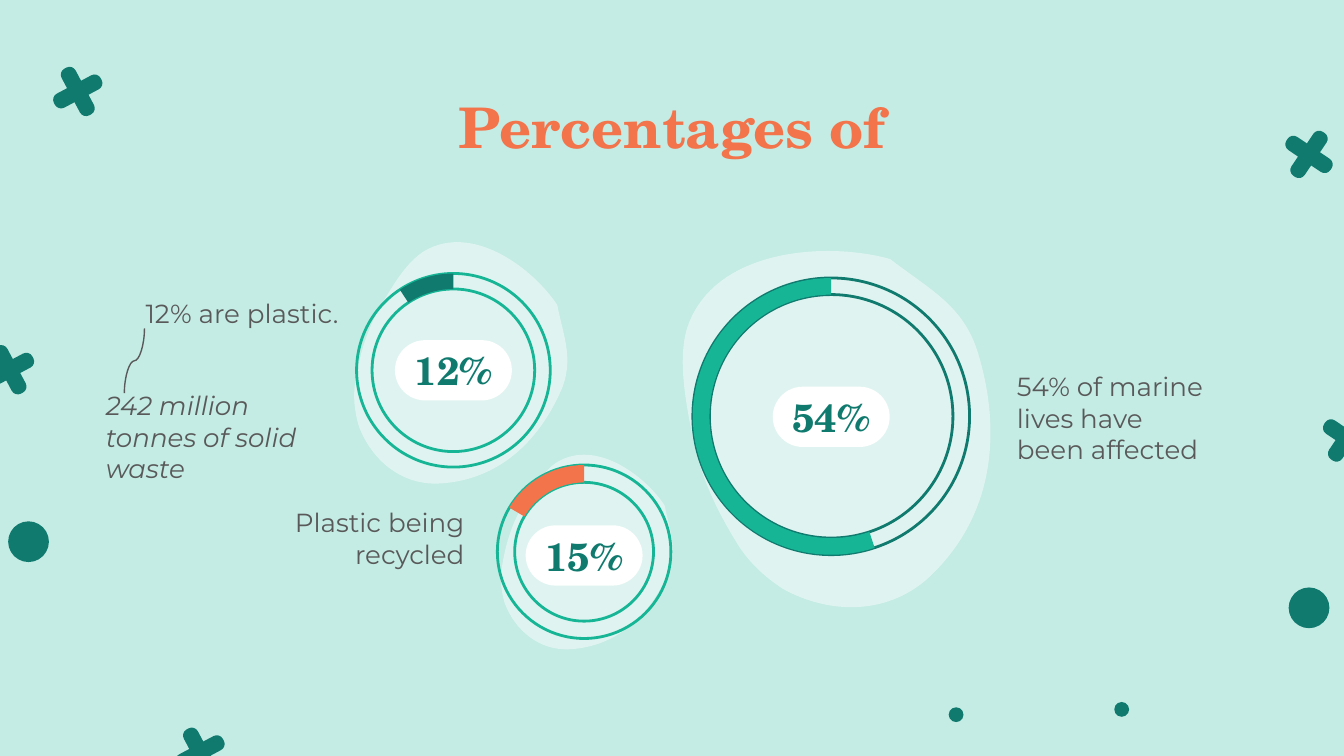
import pptx
from lxml import etree
from pptx.dml.color import RGBColor
from pptx.enum.shapes import MSO_CONNECTOR, MSO_SHAPE
from pptx.enum.text import MSO_ANCHOR, PP_ALIGN
from pptx.oxml.ns import qn
from pptx.util import Cm, Pt

COLORS = {"mint": "C4ECE4", "teal": "107A6F", "green": "16B596",
          "orange": "F3734A", "white": "FFFFFF", "gray": "595959"}
RGB = {name: RGBColor.from_string(value) for name, value in COLORS.items()}
SERIF, SANS = "TeX Gyre Schola", "Montserrat"


def put_text(tf, text, size=14, color="gray", font=SANS, bold=False,
             italic=False, align=PP_ALIGN.LEFT, before=0, anchor=MSO_ANCHOR.TOP):
    """Fill the empty first paragraph of a frame, or append one."""
    tf.word_wrap = True
    tf.vertical_anchor = anchor
    tf.margin_left = tf.margin_right = tf.margin_top = tf.margin_bottom = Cm(0.25)
    p = tf.add_paragraph() if tf.text else tf.paragraphs[0]
    p.alignment = align
    p.space_before = Pt(before)
    r = p.add_run()
    r.text = text
    r.font.name, r.font.size = font, Pt(size)
    r.font.bold, r.font.italic = bold, italic
    r.font.color.rgb = RGB[color]


def add_centered(kind, cx, cy, w, h, fill=None, line=None):
    """Add a preset shape around a centre given in cm."""
    sp = s.shapes.add_shape(kind, Cm(cx - w / 2), Cm(cy - h / 2), Cm(w), Cm(h))
    sp.shadow.inherit = False
    if fill:
        sp.fill.solid()
        sp.fill.fore_color.rgb = RGB[fill]
    else:
        sp.fill.background()
    if line:
        sp.line.color.rgb = RGB[line]
        sp.line.width = Pt(1.5)
    else:
        sp.line.fill.background()
    return sp


prs = pptx.Presentation()
prs.slide_width, prs.slide_height = Cm(25.4), Cm(14.29)
layout = prs.slide_layouts[5]
s = prs.slides.add_slide(layout)
s.background.fill.solid()
s.background.fill.fore_color.rgb = RGB["mint"]

title = s.shapes.title
title.left, title.top, title.width, title.height = Cm(1.98), Cm(1.5), Cm(21.44), Cm(1.32)
put_text(title.text_frame, "Percentages of", size=30, color="orange", font=SERIF,
         bold=True, align=PP_ALIGN.CENTER)

# Outlines around (0, 0) in cm: one point is a line, three points a Bezier curve
reach, half, radius = 0.5, 0.15, 0.13
near = radius * 0.45  # distance of a control point from its corner
arm = [[(-half, -half)], [(-half, radius - reach)],
       [(-half, near - reach), (near - half, -reach), (radius - half, -reach)],
       [(half - radius, -reach)],
       [(half - near, -reach), (half, near - reach), (half, radius - reach)]]
cross = []
for turn in range(4):
    cross += arm
    arm = [[(-y, x) for x, y in piece] for piece in arm]

blob = [[(-0.54, -3.2)],
        [(-1.74, -2.9), (-3.53, -1.73), (-3.23, -0.18)],
        [(-3.09, 0.48), (-2.46, 1.17), (-2.04, 1.66)],
        [(-1.56, 2.18), (-1.03, 2.55), (-0.43, 2.88)],
        [(-0.05, 3.1), (0.39, 3.2), (0.81, 3.22)],
        [(1.82, 3.2), (2.8, 2.65), (3.1, 1.59)],
        [(3.56, -0.01), (2.89, -1.44), (1.76, -2.5)],
        [(1.08, -3.13), (0.36, -3.07), (-0.54, -3.2)]]

# outline, centre x, centre y, rotation, scale, colour, opacity in percent
figures = [(cross, 25.45, 8.28, 34, 1, "teal", 100),
           (cross, 24.74, 2.92, 34, 1, "teal", 100),
           (cross, 0.18, 6.99, 62, 1, "teal", 100),
           (cross, 1.47, 1.73, 62, 1, "teal", 100),
           (cross, 3.78, 14.22, 62, 1, "teal", 100),
           (blob, 8.62, 6.83, 70.4, 0.67, "white", 46),
           (blob, 15.7, 7.95, 29.7, 1, "white", 46),
           (blob, 11.02, 10.41, 70.4, 0.54, "white", 46)]
decorations = []
for outline, cx, cy, rotation, scale, color, opacity in figures:
    points = [(Cm(cx + x * scale), Cm(cy + y * scale))
              for piece in outline for x, y in piece]
    builder = s.shapes.build_freeform(*points[0])
    builder.add_line_segments(points[1:], close=True)
    sp = builder.convert_to_shape()
    # Merge the three segments of each curve into one Bezier segment
    segments = iter(sp._element.findall(".//" + qn("a:lnTo")))
    for piece in outline[1:]:
        first, *others = [next(segments) for point in piece]
        if others:
            first.tag = qn("a:cubicBezTo")
            for other in others:
                first.append(other[0])
                other.getparent().remove(other)
    sp.rotation = rotation
    sp.shadow.inherit = False
    sp.line.fill.background()
    sp.fill.solid()
    sp.fill.fore_color.rgb = RGB[color]
    if opacity < 100:
        clr = sp._element.spPr.find(".//" + qn("a:srgbClr"))
        etree.SubElement(clr, qn("a:alpha")).set("val", str(opacity * 1000))
    if outline is cross:
        decorations.append(sp)

for cx, cy, d in [(21.2, 13.41, 0.28), (18.07, 13.51, 0.28),
                  (24.74, 11.49, 0.77), (0.54, 10.24, 0.77)]:
    decorations.append(add_centered(MSO_SHAPE.OVAL, cx, cy, d, d, fill="teal"))

# The crosses and dots belong to the layout
for number, sp in enumerate(decorations, start=100):
    sp._element.nvSpPr.cNvPr.set("id", str(number))
    layout.shapes._spTree.append(sp._element)

# label, centre x, centre y, diameter, thickness, ring, arc, sweep, rotation, label y
gauges = [("15%", 11.04, 10.43, 3.28, 0.1, "green", "orange", 59.4, 284.3, 10.5),
          ("12%", 8.57, 7, 3.66, 0.08, "green", "teal", 33.6, 289.6, 7),
          ("54%", 15.71, 7.87, 5.23, 0.06, "teal", "green", 198.3, 294.9, 7.88)]
for label, cx, cy, d, thickness, ring_color, arc_color, sweep, rotation, label_y in gauges:
    ring = add_centered(MSO_SHAPE.DONUT, cx, cy, d, d, line=ring_color)
    ring.adjustments[0] = thickness
    arc = add_centered(MSO_SHAPE.BLOCK_ARC, cx, cy, d, d, fill=arc_color)
    arc.rotation = rotation
    end = (270 - rotation) % 360  # every arc ends at the top of its ring
    arc.adjustments[0] = (end - sweep) * 0.6  # degrees to 100000ths of 1/60000 degree
    arc.adjustments[1] = end * 0.6
    arc.adjustments[2] = thickness
    pill = add_centered(MSO_SHAPE.ROUNDED_RECTANGLE, cx, label_y, 2.21, 1.14, fill="white")
    pill.adjustments[0] = 0.5
    box = s.shapes.add_textbox(Cm(cx - 1.63), Cm(label_y - 0.57), Cm(3.26), Cm(1.14))
    put_text(box.text_frame, label, size=21, color="teal", font=SERIF, bold=True,
             align=PP_ALIGN.CENTER, anchor=MSO_ANCHOR.MIDDLE)

marine = s.shapes.add_textbox(Cm(18.97), Cm(6.76), Cm(4.19), Cm(2.36))
put_text(marine.text_frame, "54% of marine lives have been affected")
waste = s.shapes.add_textbox(Cm(1.75), Cm(5.38), Cm(4.9), Cm(3.28))
put_text(waste.text_frame, "12% are plastic.", align=PP_ALIGN.RIGHT)
put_text(waste.text_frame, "242 million tonnes of solid waste", italic=True, before=32.5)
recycled = s.shapes.add_textbox(Cm(4.85), Cm(9.33), Cm(4.18), Cm(2.36))
put_text(recycled.text_frame, "Plastic being recycled", align=PP_ALIGN.RIGHT)

link = s.shapes.add_connector(MSO_CONNECTOR.CURVE, Cm(1.93), Cm(6.63), Cm(3.15), Cm(7.01))
link.line.color.rgb = RGB["gray"]
link.line.width = Pt(0.75)
link._element.spPr.xfrm.set("rot", str(90 * 60000))
etree.SubElement(link._element.spPr, qn("a:effectLst"))

prs.save("out.pptx")
